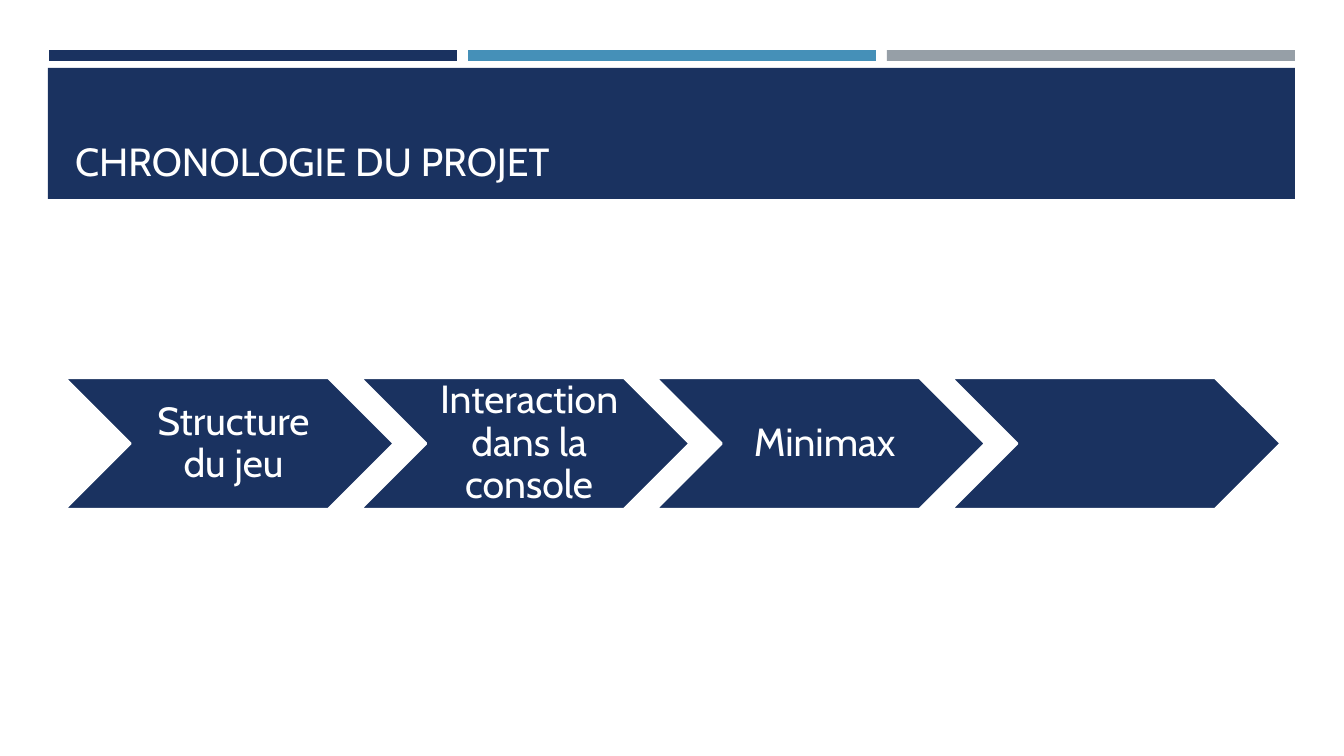
from pptx import Presentation
from pptx.dml.color import RGBColor
from pptx.enum.shapes import MSO_SHAPE
from pptx.enum.text import MSO_ANCHOR, PP_ALIGN
from pptx.util import Emu, Pt

RECT, CHEVRON = MSO_SHAPE.RECTANGLE, MSO_SHAPE.CHEVRON
LEFT, CENTER = PP_ALIGN.LEFT, PP_ALIGN.CENTER
MIDDLE, BOTTOM = MSO_ANCHOR.MIDDLE, MSO_ANCHOR.BOTTOM
PX = 914400 / 100.8
COLORS = {"navy": "1A3260", "blue": "4590B8", "gray": "969FA7", "white": "FFFFFF"}
COLORS = {name: RGBColor.from_string(code) for name, code in COLORS.items()}


def add_box(kind, color, *box):
    shape = slide.shapes.add_shape(kind, *(Emu(round(v * PX)) for v in box))
    shape.shadow.inherit = False
    shape.fill.solid()
    shape.fill.fore_color.rgb = COLORS[color]
    shape.line.fill.background()
    return shape


def set_text(shape, text, align, anchor, insets):
    frame = shape.text_frame
    frame.text = text
    frame.word_wrap = True
    frame.vertical_anchor = anchor
    for side, inset in zip(("left", "top", "right", "bottom"), insets):
        setattr(frame, "margin_" + side, Emu(round(inset * PX)))
    para = frame.paragraphs[0]
    para.alignment = align
    para.line_spacing = 0.9
    font = para.runs[0].font
    for key, value in {"name": "Cabin", "size": Pt(28), "bold": False}.items():
        setattr(font, key, value)
    font.color.rgb = COLORS["white"]


deck = Presentation()
deck.slide_width, deck.slide_height = Emu(round(1344 * PX)), Emu(round(756 * PX))
slide = deck.slides.add_slide(deck.slide_layouts[5])

# Three accent bars above the title band
for i, color in enumerate(("navy", "blue", "gray")):
    add_box(RECT, color, 49 + 419 * i, 50, 408, 11)
band = add_box(RECT, "navy", 48, 68, 1247, 131)

# Title, in front of its band
title = slide.shapes.title
box = {"left": 65, "top": 78, "width": 1216, "height": 112}
for key, value in box.items():
    setattr(title, key, Emu(round(value * PX)))
set_text(title, "CHRONOLOGIE DU PROJET", LEFT, BOTTOM, (10, 5, 10, 5))
band._element.addnext(title._element)

# Timeline of project steps, the last one still open
steps = ("Structure du jeu", "Interaction dans la console", "Minimax", "")
for i, step in enumerate(steps):
    arrow = add_box(CHEVRON, "navy", 65 + 295.6 * i, 378, 329, 131)
    arrow.line.color.rgb = COLORS["white"]
    arrow.line.width = Pt(1.75)
    if step:
        set_text(arrow, step, CENTER, MIDDLE, (12, 4, 4, 4))

deck.save("out.pptx")
